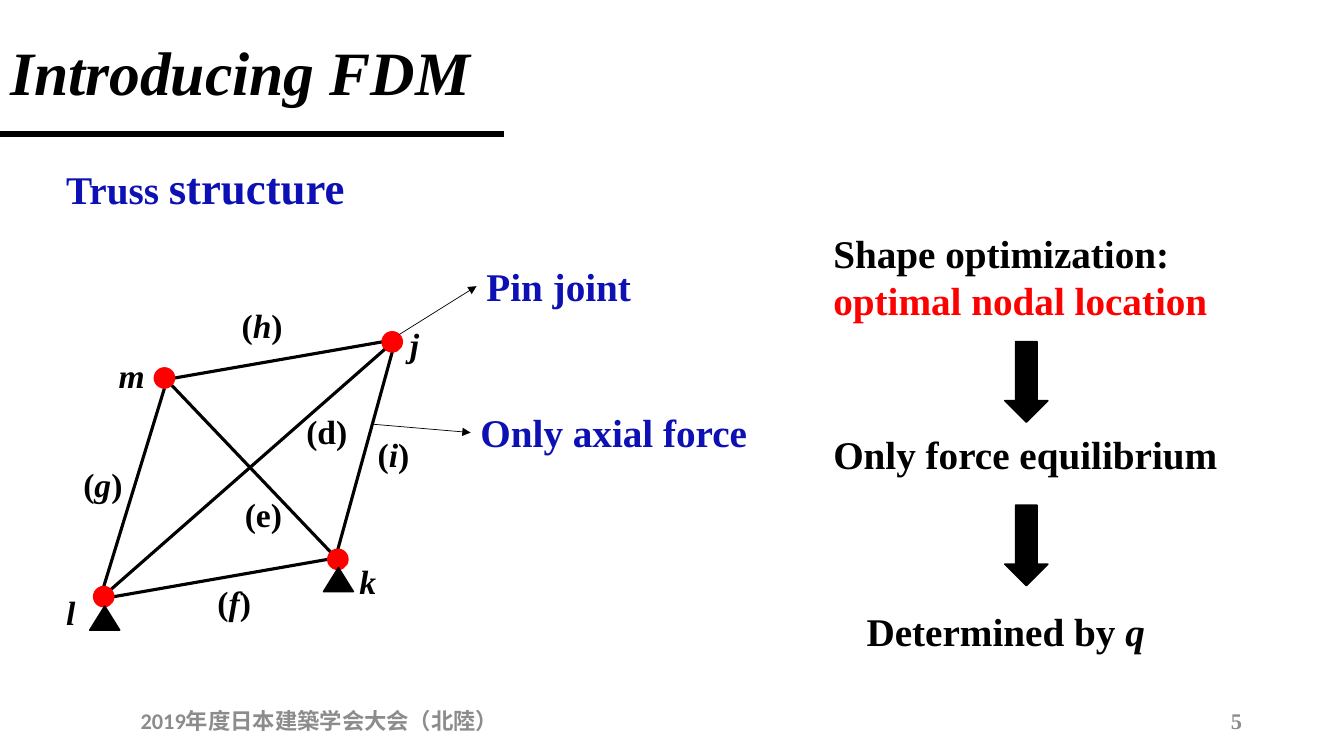
from dataclasses import dataclass
from math import cos, radians, sin

from lxml import etree
from pptx import Presentation
from pptx.dml.color import RGBColor
from pptx.enum.shapes import MSO_CONNECTOR, MSO_SHAPE
from pptx.enum.text import MSO_ANCHOR, MSO_AUTO_SIZE, PP_ALIGN
from pptx.oxml.ns import qn
from pptx.util import Cm, Pt

STRAIGHT = MSO_CONNECTOR.STRAIGHT
OVAL, TRIANGLE, DOWN_ARROW = MSO_SHAPE.OVAL, MSO_SHAPE.ISOSCELES_TRIANGLE, MSO_SHAPE.DOWN_ARROW
LEFT, CENTER, RIGHT = PP_ALIGN.LEFT, PP_ALIGN.CENTER, PP_ALIGN.RIGHT
TOP, MIDDLE = MSO_ANCHOR.TOP, MSO_ANCHOR.MIDDLE
FIXED, GROW = MSO_AUTO_SIZE.NONE, MSO_AUTO_SIZE.SHAPE_TO_FIT_TEXT


@dataclass(frozen=True)
class Theme:
    black: str = "000000"
    blue: str = "0D11B3"
    red: str = "FF0000"
    gray: str = "8C8C8C"
    serif: str = "Times New Roman"
    sans: str = "Calibri"
    title: int = 44
    heading: int = 32
    body: int = 28
    label: int = 24
    footer: int = 16


THEME = Theme()

# Truss: top-left corner of each joint, in cm
NODE_SIZE = 0.51
NODES = {"m": (3.89, 9.27), "j": (9.63, 8.36), "k": (8.26, 13.84), "l": (2.36, 14.78)}
NODE_LABELS = {"j": (10.08, 8.05), "k": (8.81, 14.02), "l": (1.42, 14.78), "m": (2.74, 8.81)}

# Each member leaves and meets a joint at an angle, clockwise from the right
MEMBERS = [
    ("m", 45, "k", 225), ("l", 315, "j", 135), ("j", 180, "m", 0),
    ("k", 270, "j", 90), ("l", 0, "k", 180), ("m", 90, "l", 270),
]
MEMBER_LABELS = [
    ("i", True, 9.27, 10.82), ("h", True, 5.84, 7.57), ("g", True, 1.85, 11.56),
    ("f", True, 5.23, 14.53), ("d", False, 7.47, 10.24), ("e", False, 5.92, 12.32),
]
SUPPORTS = [(2.26, 15.27), (8.15, 14.3)]
STEP_ARROWS = [(25.32, 8.61), (25.32, 12.73)]


def span(text, size=THEME.body, color=THEME.black, italic=False, font=THEME.serif):
    return text, size, color, italic, font


def write(box, spans, align=LEFT, anchor=TOP, fit=GROW):
    frame = box.text_frame
    frame.word_wrap = True
    frame.auto_size = fit
    frame.vertical_anchor = anchor
    para = frame.paragraphs[0]
    para.alignment = align
    for text, size, color, italic, font in spans:
        run = para.add_run()
        run.text = text
        run.font.size = Pt(size)
        run.font.name = font
        run.font.bold = True
        run.font.italic = italic
        run.font.color.rgb = RGBColor.from_string(color)


def add_text(page, place, *spans, **layout):
    box = page.shapes.add_textbox(*map(Cm, place))
    write(box, spans, **layout)


def add_title(page, place, text):
    title = page.shapes.title
    title.left, title.top, title.width, title.height = map(Cm, place)
    write(title, [span(text, THEME.title, italic=True)], anchor=MIDDLE, fit=FIXED)


def add_line(page, start, end, width, arrow=False):
    line = page.shapes.add_connector(STRAIGHT, *map(Cm, (*start, *end)))
    line.line.width = Pt(width)
    line.line.color.rgb = RGBColor.from_string(THEME.black)
    if arrow:
        etree.SubElement(line.line._get_or_add_ln(), qn("a:tailEnd"), type="triangle")
    etree.SubElement(line._element.spPr, qn("a:effectLst"))


def add_solid(page, kind, place, color):
    shape = page.shapes.add_shape(kind, *map(Cm, place))
    shape.shadow.inherit = False
    shape.fill.solid()
    shape.fill.fore_color.rgb = RGBColor.from_string(color)
    shape.line.color.rgb = RGBColor.from_string(color)
    shape.line.width = Pt(1)


def rim_point(node, angle):
    radius = NODE_SIZE / 2
    left, top = NODES[node]
    return (left + radius * (1 + cos(radians(angle))),
            top + radius * (1 + sin(radians(angle))))


def add_truss(page):
    for first, leave, second, meet in MEMBERS:
        add_line(page, rim_point(first, leave), rim_point(second, meet), 2.25)
    for left, top in NODES.values():
        add_solid(page, OVAL, (left, top, NODE_SIZE, NODE_SIZE), THEME.red)
    for left, top in SUPPORTS:
        add_solid(page, TRIANGLE, (left, top, 0.76, 0.61), THEME.black)
    for name, (left, top) in NODE_LABELS.items():
        add_text(page, (left, top, 0.97, 1.27), span(name, THEME.label, italic=True))
    for name, italic, left, top in MEMBER_LABELS:
        add_text(page, (left, top, 1.55, 1.27), span("(", THEME.label),
                 span(name, THEME.label, italic=italic), span(")", THEME.label))


def add_callouts(page):
    add_line(page, (10.06, 8.43), (12.01, 7.21), 0.5, arrow=True)
    add_text(page, (12.01, 6.48, 4.75, 1.45), span("Pin joint", color=THEME.blue))
    add_line(page, (9.4, 10.69), (11.86, 10.9), 0.5, arrow=True)
    add_text(page, (11.86, 10.16, 7.29, 1.45), span("Only axial force", color=THEME.blue))


def add_reasoning(page):
    add_text(page, (20.75, 5.66, 10.62, 2.64), span("Shape optimization: "),
             span("optimal nodal location", color=THEME.red))
    add_text(page, (20.75, 10.72, 10.62, 1.45), span("Only force equilibrium"))
    add_text(page, (21.59, 15.19, 8.59, 1.45), span("Determined by "), span("q", italic=True))
    for left, top in STEP_ARROWS:
        add_solid(page, DOWN_ARROW, (left, top, 1.09, 2.03), THEME.black)


def add_footer(page):
    add_text(page, (2.34, 17.65, 11.43, 1.02),
             span("2019年度日本建築学会大会（北陸）", THEME.footer, THEME.gray, font=THEME.sans),
             align=CENTER, anchor=MIDDLE, fit=FIXED)
    add_text(page, (23.93, 17.65, 7.62, 1.02), span("5", THEME.footer, THEME.gray),
             align=RIGHT, anchor=MIDDLE, fit=FIXED)


def main():
    deck = Presentation()
    deck.slide_width, deck.slide_height = Cm(33.87), Cm(19.05)
    page = deck.slides.add_slide(deck.slide_layouts.get_by_name("Title Only"))

    # Heading
    add_title(page, (0, 0.58, 13.11, 2.39), "Introducing FDM")
    add_line(page, (0, 3.38), (12.7, 3.38), 4.5)
    add_text(page, (1.42, 3.91, 8.92, 1.63), span("Truss ", color=THEME.blue),
             span("structure", THEME.heading, THEME.blue))

    # Diagram, argument and footer
    add_truss(page)
    add_callouts(page)
    add_reasoning(page)
    add_footer(page)

    deck.save("out.pptx")


if __name__ == "__main__":
    main()
